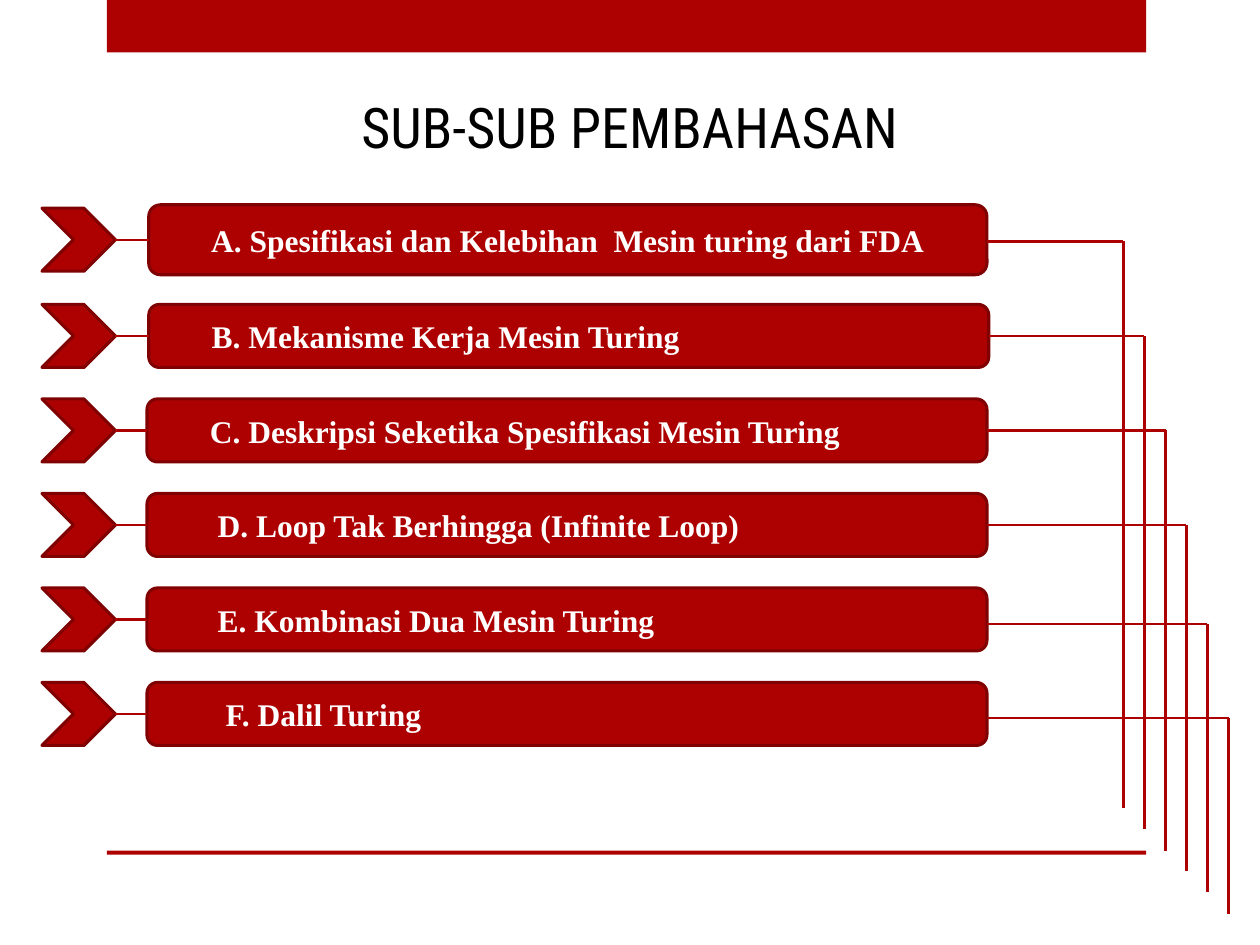
from lxml.etree import SubElement
from pptx import Presentation
from pptx.dml.color import RGBColor
from pptx.enum.shapes import MSO_CONNECTOR as CONN, MSO_SHAPE as SHAPE
from pptx.enum.text import MSO_ANCHOR as ANCHOR, PP_ALIGN as ALIGN
from pptx.oxml.ns import qn
from pptx.util import Pt

RED, DARK, WHITE, BLACK = "AD0101", "800101", "FFFFFF", "000000"
LEFT, RIGHT = 1, 3
BODY = {"name": "Times New Roman", "size": Pt(18), "bold": True}
HEADING = {"name": "Roboto Condensed", "size": Pt(32), "bold": False}

# text, indent (None = centred), middle y, box (left, width, height), rail y
TOPICS = [
    ("A. Spesifikasi dan Kelebihan  Mesin turing dari FDA", None, 137, (85, 479, 40), 138),
    ("B. Mekanisme Kerja Mesin Turing", 27, 192, (85, 480, 36), 192),
    ("C. Deskripsi Seketika Spesifikasi Mesin Turing", 27, 246, (84, 480, 36), 246),
    ("D. Loop Tak Berhingga (Infinite Loop)", 31.5, 300, (84, 480, 36), 300),
    ("E. Kombinasi Dua Mesin Turing", 31.5, 354, (84, 480, 36), 356.4),
    ("F. Dalil Turing", 36, 408, (84, 480, 36), 410.4),
]
RAIL_X, RAIL_BOTTOM, RAIL_STEP = 642, 462, 12


def rgb(color):
    return RGBColor.from_string(color)


def add_block(s, kind, x, y, w, h, line=None):
    sp = s.shapes.add_shape(kind, Pt(x), Pt(y), Pt(w), Pt(h))
    sp.shadow.inherit = False
    sp.fill.solid()
    sp.fill.fore_color.rgb = rgb(RED)
    if line:
        sp.line.color.rgb = rgb(line)
        sp.line.width = Pt(1.75)
    else:
        sp.line.fill.background()
    return sp


def set_text(sp, text, font, color, indent=None):
    """Write one line, centred unless an indent is given."""
    tf = sp.text_frame
    tf.word_wrap = True
    tf.vertical_anchor = ANCHOR.MIDDLE
    p = tf.paragraphs[0]
    p.alignment = ALIGN.CENTER if indent is None else ALIGN.LEFT
    tf.margin_left = Pt(7.2 + (indent or 0))
    r = p.add_run()
    r.text = text
    for key, value in font.items():
        setattr(r.font, key, value)
    r.font.color.rgb = rgb(color)


def add_line(s, x1, y1, x2, y2):
    c = s.shapes.add_connector(CONN.STRAIGHT, Pt(x1), Pt(y1), Pt(x2), Pt(y2))
    c.line.color.rgb = rgb(RED)
    c.line.width = Pt(1.25)
    SubElement(c._element.spPr, qn("a:effectLst"))
    return c


def add_topic(s, text, indent, y, box_size, rail_y, rail_x, rail_bottom):
    """Chevron, link and box, then the rail that turns down at the right."""
    x, w, h = box_size
    chevron = add_block(s, SHAPE.CHEVRON, 24, y - 18, 42, 36, DARK)
    box = add_block(s, SHAPE.ROUNDED_RECTANGLE, x, y - h / 2, w, h, DARK)
    set_text(box, text, BODY, WHITE, indent)

    link = add_line(s, 66, y, x, y)
    link.begin_connect(chevron, RIGHT)
    link.end_connect(box, LEFT)

    rail = add_line(s, x + w, rail_y, rail_x, rail_y)
    if rail_y == y:
        rail.begin_connect(box, RIGHT)
    add_line(s, rail_x, rail_y, rail_x, rail_bottom)


def add_title(s, text):
    sp = s.shapes.add_textbox(Pt(66), Pt(42), Pt(588), Pt(60))
    set_text(sp, text, HEADING, BLACK)


def main():
    prs = Presentation()
    prs.slide_width, prs.slide_height = Pt(720), Pt(540)
    s = prs.slides.add_slide(prs.slide_layouts[6])
    for y, h in ((0, 30), (486, 2.4)):
        add_block(s, SHAPE.RECTANGLE, 61, y, 594, h)
    add_title(s, "SUB-SUB PEMBAHASAN")
    for i, topic in enumerate(TOPICS):
        shift = i * RAIL_STEP
        add_topic(s, *topic, RAIL_X + shift, RAIL_BOTTOM + shift)
    prs.save("out.pptx")


if __name__ == "__main__":
    main()
